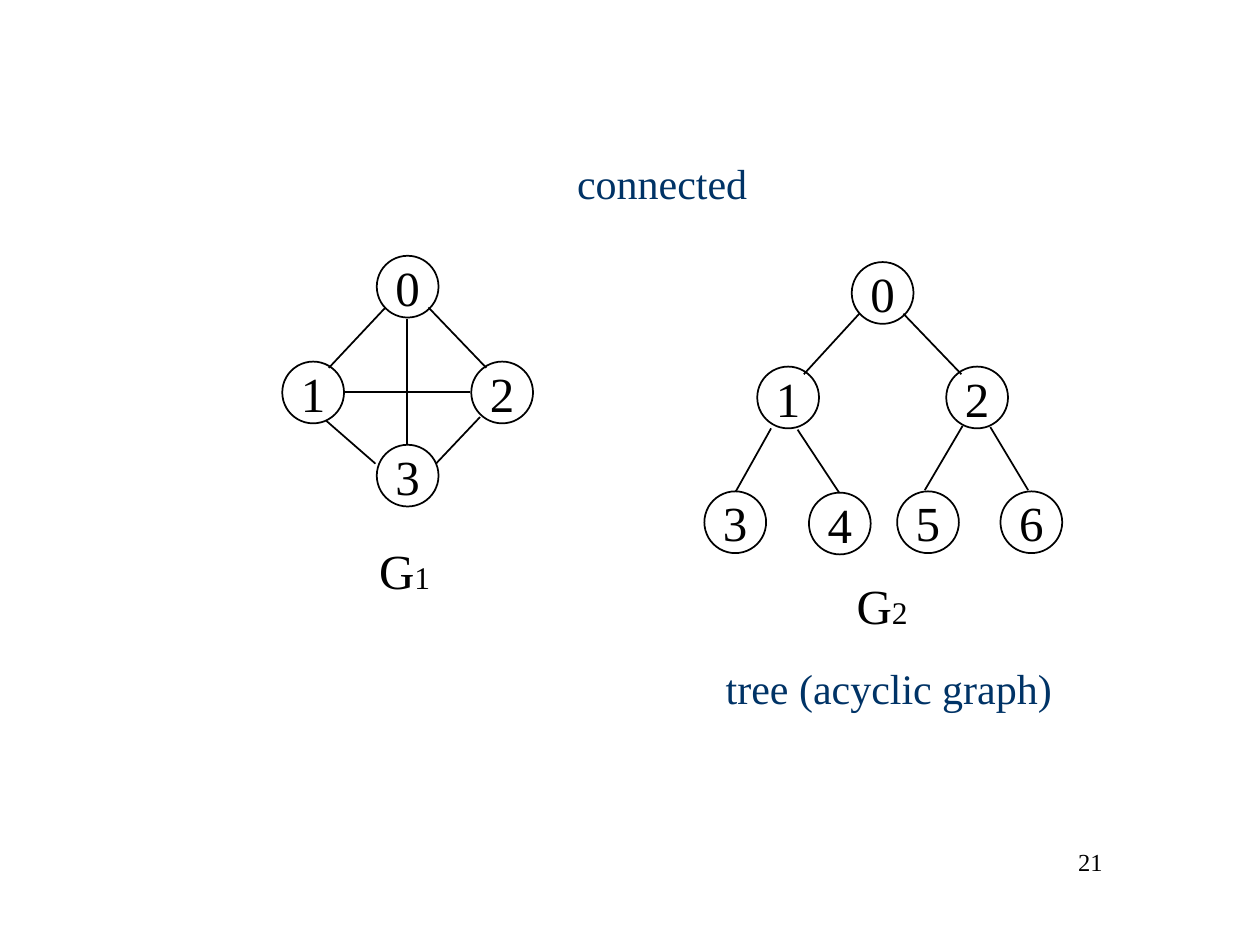
import pptx
import pptx.dml.color
import pptx.enum.shapes
import pptx.enum.text
import pptx.oxml
import pptx.oxml.ns
import pptx.util

Inches = pptx.util.Inches
Align = pptx.enum.text.PP_ALIGN
Anchor = pptx.enum.text.MSO_ANCHOR
AutoSize = pptx.enum.text.MSO_AUTO_SIZE

BLACK = "000000"
WHITE = "FFFFFF"
NAVY = "003366"
DIAMETER = 0.49


def color(value):
    return pptx.dml.color.RGBColor.from_string(value)


def write(frame, text, size=28, ink=BLACK, align=Align.CENTER,
          anchor=Anchor.MIDDLE, wrap=False, fit=AutoSize.NONE):
    frame.word_wrap = wrap
    frame.auto_size = fit
    frame.vertical_anchor = anchor
    paragraph = frame.paragraphs[0]
    paragraph.alignment = align
    run = paragraph.add_run()
    run.text = text
    run.font.name = "Times New Roman"
    run.font.size = pptx.util.Pt(size)
    run.font.color.rgb = color(ink)


presentation = pptx.Presentation()
presentation.slide_width = Inches(10)
presentation.slide_height = Inches(7.5)
slide = presentation.slides.add_slide(presentation.slide_layouts[6])
shapes = slide.shapes

complete_graph = {
    "nodes": [(2.99, 2.03), (2.24, 2.87), (3.74, 2.87), (2.99, 3.53)],
    "edges": [
        (3.23, 2.53, 3.23, 3.53), (2.73, 3.11, 3.73, 3.11),
        (3.06, 2.44, 2.61, 2.92), (3.4, 2.44, 3.86, 2.92),
        (2.59, 3.34, 2.98, 3.68), (3.81, 3.31, 3.46, 3.68),
    ],
    "index": "1",
    "label": (2.91, 4.24),
}
tree = {
    "nodes": [(6.76, 2.08), (6.01, 2.91), (7.51, 2.91), (5.59, 3.9),
              (6.42, 3.91), (7.12, 3.9), (7.94, 3.9)],
    "edges": [
        (6.82, 2.49, 6.38, 2.97), (7.17, 2.49, 7.63, 2.97),
        (6.12, 3.4, 5.84, 3.9), (6.33, 3.41, 6.66, 3.91),
        (7.64, 3.38, 7.34, 3.89), (7.86, 3.39, 8.16, 3.89),
    ],
    "index": "2",
    "label": (6.7, 4.52),
}

for graph in (complete_graph, tree):
    for number, (left, top) in enumerate(graph["nodes"]):
        node = shapes.add_shape(
            pptx.enum.shapes.MSO_SHAPE.OVAL, Inches(left), Inches(top),
            Inches(DIAMETER), Inches(DIAMETER))
        node.shadow.inherit = False
        node.fill.solid()
        node.fill.fore_color.rgb = color(WHITE)
        node.line.color.rgb = color(BLACK)
        node.line.width = pptx.util.Pt(1)
        write(node.text_frame, str(number))

    for ends in graph["edges"]:
        edge = shapes.add_connector(
            pptx.enum.shapes.MSO_CONNECTOR.STRAIGHT, *map(Inches, ends))
        edge.line.color.rgb = color(BLACK)
        edge.line.width = pptx.util.Pt(1)
        edge._element.spPr.append(
            pptx.oxml.parse_xml(
                f"<a:effectLst {pptx.oxml.ns.nsdecls('a')}/>"))

    left, top = graph["label"]
    label = shapes.add_textbox(
        Inches(left), Inches(top), Inches(0.61), Inches(0.57))
    for text, size in (("G", 28), (graph["index"], 18)):
        write(label.text_frame, text, size=size, align=Align.LEFT,
              anchor=Anchor.TOP, fit=AutoSize.SHAPE_TO_FIT_TEXT)

for text, left, top, width in (
        ("connected", 4.48, 1.2, 1.55),
        ("tree (acyclic graph)", 5.66, 5.21, 2.79)):
    caption = shapes.add_textbox(
        Inches(left), Inches(top), Inches(width), Inches(0.5))
    write(caption.text_frame, text, size=24, ink=NAVY,
          fit=AutoSize.SHAPE_TO_FIT_TEXT)

page_number = shapes.add_textbox(
    Inches(6.77), Inches(6.67), Inches(2.08), Inches(0.5))
write(page_number.text_frame, "21", size=14, align=Align.RIGHT,
      anchor=Anchor.TOP, wrap=True)

presentation.save("out.pptx")
